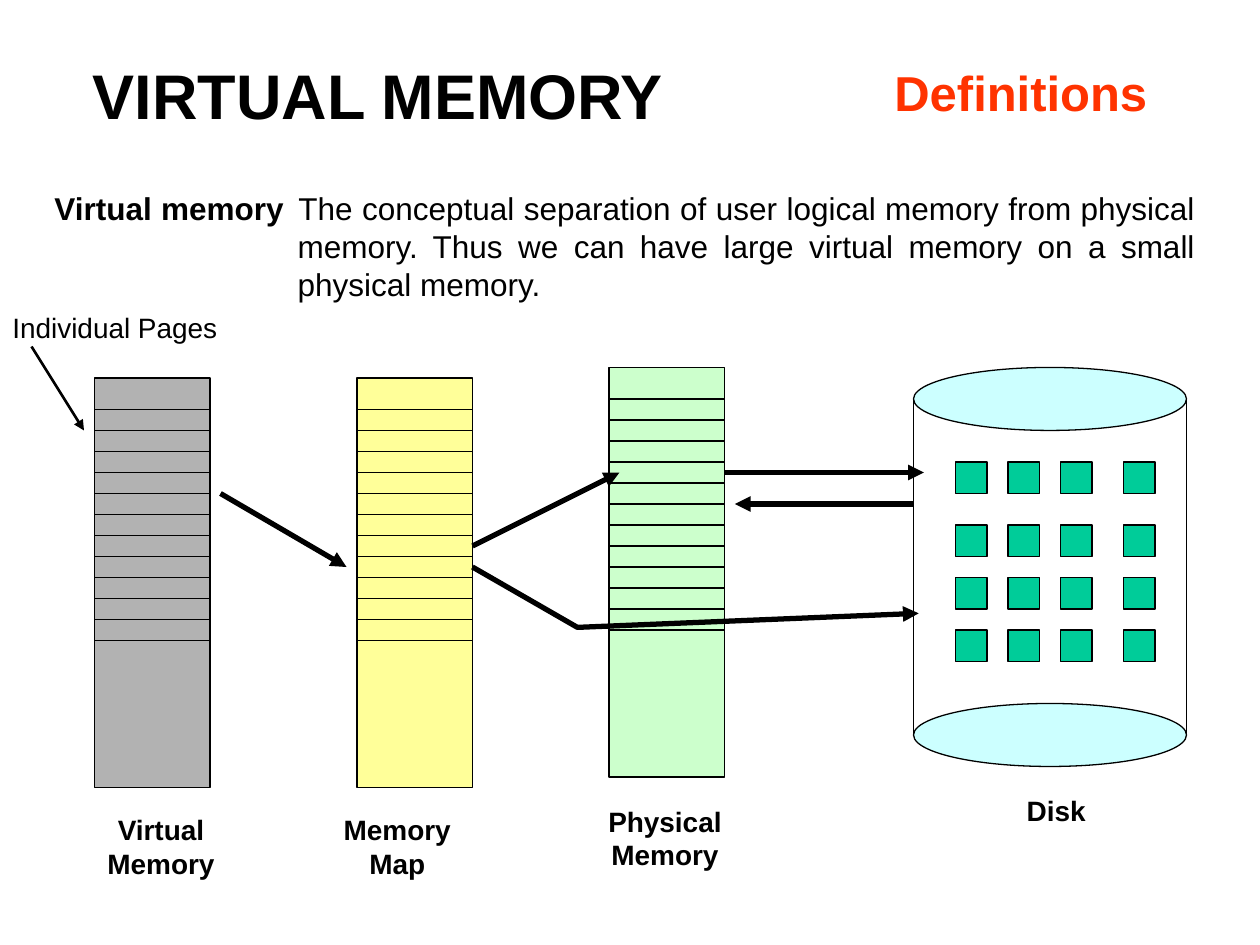
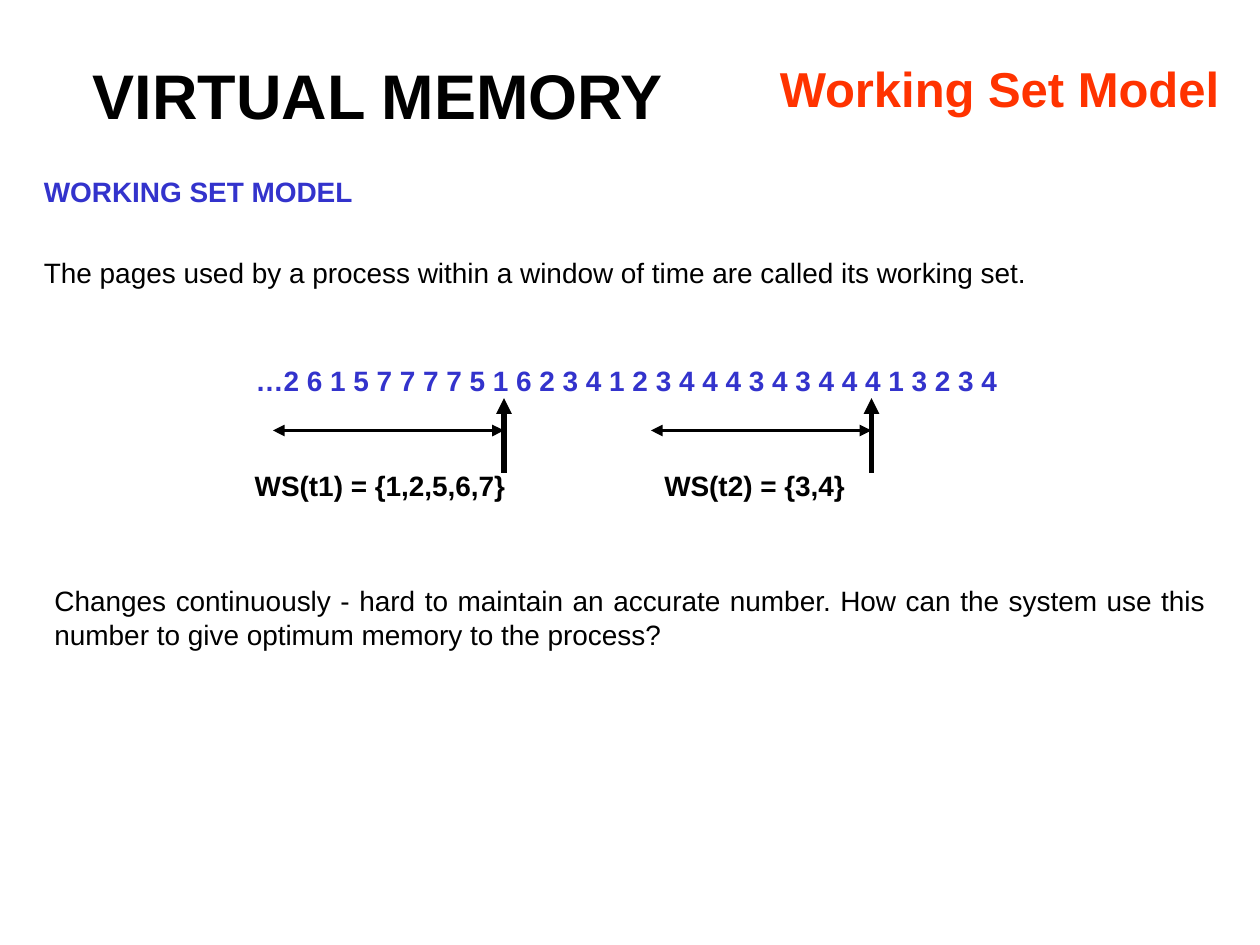
from itertools import product

from lxml.etree import SubElement
from pptx import Presentation
from pptx.dml.color import RGBColor
from pptx.enum.shapes import MSO_CONNECTOR, MSO_SHAPE
from pptx.enum.text import MSO_ANCHOR, PP_ALIGN
from pptx.oxml.ns import qn
from pptx.util import Pt

FONT = "Arial"
COLORS = {
    "text": "000000",
    "topic": "FF3300",
    "accent": "3333CC",
    "virtual": "B2B2B2",
    "map": "FFFF99",
    "physical": "CCFFCC",
    "disk": "CCFFFF",
    "block": "00CC99",
}


def rgb(name):
    return RGBColor.from_string(COLORS[name])


def write(para, text, size=16, color="text", bold=False):
    span = para.add_run()
    span.text = text
    span.font.name = FONT
    span.font.size = Pt(size)
    span.font.bold = bold
    span.font.color.rgb = rgb(color)


def add_arrowheads(shape, ends):
    """Put triangles on the named ends: headEnd is the start, tailEnd the finish."""
    outline = shape.line._get_or_add_ln()
    for end in ends:
        SubElement(outline, qn(f"a:{end}"), type="triangle")


class SlideBuilder:
    def __init__(self, deck):
        self.deck = deck
        self.page = None

    def new_page(self, topic, left, top, width):
        """Start a slide with the shared title and its own topic."""
        self.page = self.deck.slides.add_slide(self.deck.slide_layouts[6])
        title = self.box(18, 24, 396, 60, align=PP_ALIGN.CENTER, anchor=MSO_ANCHOR.MIDDLE)
        write(title.paragraphs[0], "VIRTUAL MEMORY", size=36, bold=True)
        self.label(topic, left, top, width, size=28, color="topic", bold=True)

    def box(self, left, top, width, height, align=PP_ALIGN.LEFT, anchor=MSO_ANCHOR.TOP, wrap=True):
        shape = self.page.shapes.add_textbox(Pt(left), Pt(top), Pt(width), Pt(height))
        frame = shape.text_frame
        frame.word_wrap = wrap
        frame.vertical_anchor = anchor
        frame.paragraphs[0].alignment = align
        return frame

    def label(self, text, left, top, width, align=PP_ALIGN.LEFT, **style):
        """Add unwrapped text, one paragraph for each line."""
        frame = self.box(left, top, width, 26, wrap=False)
        for number, line in enumerate(text.split("\n")):
            para = frame.add_paragraph() if number else frame.paragraphs[0]
            para.alignment = align
            write(para, line, **style)

    def shape(self, kind, left, top, width, height, fill):
        shape = self.page.shapes.add_shape(kind, Pt(left), Pt(top), Pt(width), Pt(height))
        shape.shadow.inherit = False
        shape.fill.solid()
        shape.fill.fore_color.rgb = rgb(fill)
        self.outline(shape, 0.75)

    def outline(self, shape, weight):
        shape.line.color.rgb = rgb("text")
        shape.line.width = Pt(weight)

    def line(self, start, finish, weight=0.75, ends=()):
        connector = self.page.shapes.add_connector(
            MSO_CONNECTOR.STRAIGHT, *(Pt(value) for value in (*start, *finish))
        )
        self.outline(connector, weight)
        add_arrowheads(connector, ends)
        SubElement(connector._element.spPr, qn("a:effectLst"))

    def arrow(self, start, finish, weight=3):
        self.line(start, finish, weight, ["tailEnd"])

    def bent_arrow(self, start, *points):
        builder = self.page.shapes.build_freeform(Pt(start[0]), Pt(start[1]))
        builder.add_line_segments([(Pt(x), Pt(y)) for x, y in points], close=False)
        shape = builder.convert_to_shape()
        shape.shadow.inherit = False
        shape.fill.background()
        self.outline(shape, 3)
        add_arrowheads(shape, ["tailEnd"])

    def memory(self, left, top, fill):
        """Draw a memory column divided into pages."""
        width = 66
        self.shape(MSO_SHAPE.RECTANGLE, left, top, width, 234, fill)
        for number in range(12):
            y = top + 18 + 12 * number
            self.line((left, y), (left + width, y))

    def disk(self, left, top, width, height):
        rim = 36
        for y in (top, top + height - rim):
            self.shape(MSO_SHAPE.OVAL, left, y, width, rim, "disk")
        for x in (left, left + width):
            self.line((x, top + rim / 2), (x, top + height - rim / 2))

    def window(self, start, finish):
        """Mark a working set window and the moment at which it ends."""
        self.arrow((finish, 270), (finish, 227.5))
        self.line((start, 246), (finish, 246), 2.25, ["headEnd", "tailEnd"])


def build_definitions(slide):
    slide.new_page("Definitions", 504, 32, 170)
    definition = slide.box(24, 104.5, 666, 82, align=PP_ALIGN.JUSTIFY).paragraphs[0]
    properties = definition._p.get_or_add_pPr()
    properties.set("marL", str(Pt(139)))
    properties.set("indent", str(Pt(-139)))
    write(definition, "Virtual memory\t", size=18, bold=True)
    write(
        definition,
        "The conceptual separation of user logical memory from physical memory. "
        "Thus we can have large virtual memory on a small physical memory.",
        size=18,
    )

    slide.memory(54, 216, "virtual")
    slide.memory(204, 216, "map")
    slide.memory(348, 210, "physical")
    slide.disk(522, 210, 156, 228)
    for y, x in product((264, 300, 330, 360), (546, 576, 606, 642)):
        slide.shape(MSO_SHAPE.RECTANGLE, x, y, 18, 18, "block")

    for text, center, top in (
        ("Virtual\nMemory", 92, 461),
        ("Memory\nMap", 227, 461),
        ("Physical\nMemory", 380, 456),
        ("Disk", 603.5, 450),
    ):
        slide.label(text, center - 45, top, 90, align=PP_ALIGN.CENTER, bold=True)
    slide.label("Individual Pages", 0, 174, 150)

    slide.arrow((18, 198), (48, 246), weight=1.5)
    slide.arrow((126, 282), (198, 324))
    slide.bent_arrow((270, 324), (330, 358.5), (525, 350.5))
    slide.arrow((270, 312), (354, 270))
    slide.arrow((414, 270), (528, 270))
    slide.arrow((522, 288), (420, 288))


def build_working_set(slide):
    slide.new_page("Working Set Model", 438.5, 30, 276)
    intro = slide.box(18, 96, 672, 84, align=PP_ALIGN.JUSTIFY)
    write(intro.paragraphs[0], "WORKING SET MODEL", color="accent", bold=True)
    meaning = intro.add_paragraph()
    meaning.alignment = PP_ALIGN.JUSTIFY
    meaning.space_before = Pt(27)
    write(meaning, "The pages used by a process within a window of time are called its working set.")

    references = "…2 6 1 5 7 7 7 7 5 1 6 2 3 4 1 2 3 4 4 4 3 4 3 4 4 4 1 3 2 3 4"
    slide.label(references, 139, 204, 460, color="accent", bold=True)
    slide.window(156, 288)
    slide.window(372, 498)
    slide.label("WS(t1) = {1,2,5,6,7}", 138.5, 264, 175, bold=True)
    slide.label("WS(t2) = {3,4}", 372.5, 264, 135, bold=True)

    question = slide.box(24, 330, 672, 120, align=PP_ALIGN.JUSTIFY)
    write(
        question.paragraphs[0],
        "Changes continuously - hard to maintain an accurate number. "
        "How can the system use this number to give optimum memory to the process?",
    )


def main():
    deck = Presentation()
    deck.slide_width, deck.slide_height = Pt(720), Pt(540)
    slide = SlideBuilder(deck)
    build_definitions(slide)
    build_working_set(slide)
    deck.save("out.pptx")


if __name__ == "__main__":
    main()
